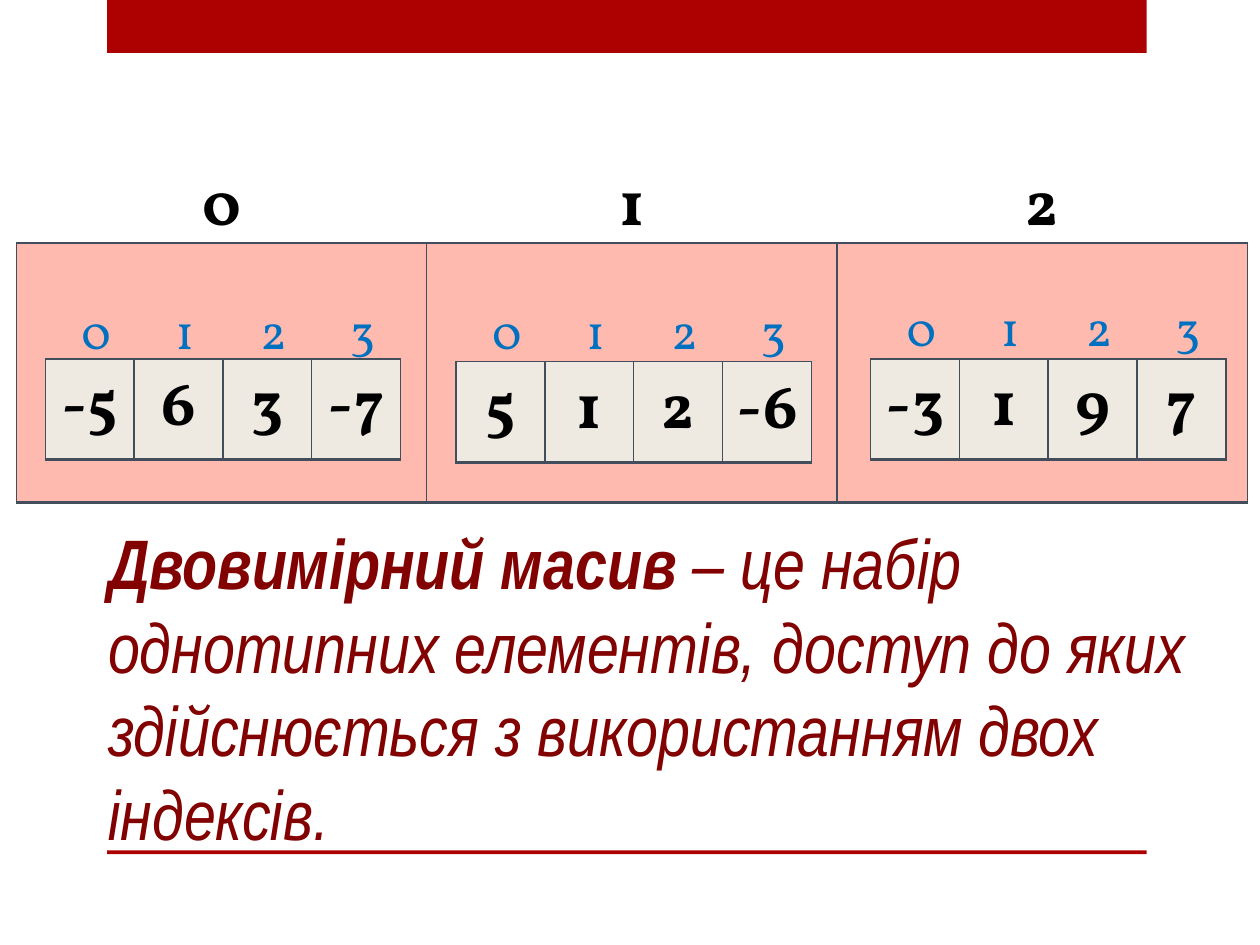
from lxml import etree
from pptx import Presentation
from pptx import util as u
from pptx.dml.color import RGBColor
from pptx.enum import shapes, text
from pptx.oxml.ns import qn

COLORS = {"red": "AD0101", "dark_red": "820101", "pink": "FFBAB0", "cream": "EEEAE2",
          "border": "424E5B", "black": "000000", "blue": "0070C0"}
ROWS = [["-5", "6", "3", "-7"], ["5", "1", "2", "-6"], ["-3", "1", "9", "7"]]
ROW_POSITIONS = [(0.36, 2.85, 2.35), (3.62, 2.87, 2.35), (6.91, 2.85, 2.33)]
ROW_WIDTH = 2.82


def color(name):
    """Return the named colour."""
    return RGBColor.from_string(COLORS[name])


def write(paragraph, content, size=36, font="Vollkorn", tint="black", bold=False,
          italic=False, align=text.PP_ALIGN.CENTER):
    """Add formatted text to a paragraph."""
    paragraph.alignment = align
    run = paragraph.add_run()
    run.text = content
    run.font.size, run.font.name = u.Pt(size), font
    run.font.bold, run.font.italic = bold, italic
    run.font.color.rgb = color(tint)


def set_borders(cell, visible):
    """Draw the four sides of a cell, the bottom one thicker, or hide them."""
    properties = cell._tc.get_or_add_tcPr()
    for side, width in {"L": 1, "R": 1, "T": 1, "B": 2}.items():
        line = etree.SubElement(properties, qn(f"a:ln{side}"), w=str(u.Pt(width)))
        if visible:
            fill = etree.SubElement(line, qn("a:solidFill"))
            etree.SubElement(fill, qn("a:srgbClr"), val=COLORS["border"])
        else:
            etree.SubElement(line, qn("a:noFill"))


def add_row(slide, box, values, fill=None, **text_format):
    """Add a one-row table of equal cells; only filled cells have borders."""
    left, top, width, height = map(u.Inches, box)
    table = slide.shapes.add_table(1, len(values), left, top, width, height).table
    table.first_row = table.horz_banding = False
    for cell, value in zip(table.iter_cells(), values):
        set_borders(cell, fill is not None)
        if fill:
            cell.fill.solid()
            cell.fill.fore_color.rgb = color(fill)
        else:
            cell.fill.background()
        if value:
            write(cell.text_frame.paragraphs[0], value, **text_format)


def add_bar(slide, box):
    """Add a plain red bar."""
    shape = slide.shapes.add_shape(shapes.MSO_SHAPE.RECTANGLE, *map(u.Inches, box))
    shape.shadow.inherit = False
    shape.fill.solid()
    shape.fill.fore_color.rgb = color("red")
    shape.line.fill.background()


def add_array(slide, box):
    """Add the outer array with its indexes and the three inner arrays."""
    left, top, width, height = box
    add_row(slide, box, [""] * len(ROWS), fill="pink")
    for values, (row_left, row_top, _) in zip(ROWS, ROW_POSITIONS):
        add_row(slide, (row_left, row_top, ROW_WIDTH, 0.7), values, fill="cream", bold=True)
    add_row(slide, (left, top - 0.67, width, 0.98), [str(i) for i in range(len(ROWS))], bold=True)
    for values, (row_left, _, index_top) in zip(ROWS, ROW_POSITIONS):
        add_row(slide, (row_left + 0.05, index_top, ROW_WIDTH, 0.57),
                [str(i) for i in range(len(values))], size=28, tint="blue")


def add_definition(slide, box):
    """Add the definition with its term in bold."""
    frame = slide.shapes.add_textbox(*map(u.Inches, box)).text_frame
    frame.word_wrap = True
    frame.auto_size = text.MSO_AUTO_SIZE.SHAPE_TO_FIT_TEXT
    style = {"size": 40, "font": "Arial Narrow", "tint": "dark_red", "italic": True,
             "align": text.PP_ALIGN.LEFT}
    paragraph = frame.paragraphs[0]
    write(paragraph, "Двовимірний масив ", bold=True, **style)
    write(paragraph, "– це набір однотипних елементів, доступ до яких здійснюється "
          "з використанням двох індексів.", **style)


def main():
    """Build and save the slide."""
    presentation = Presentation()
    presentation.slide_width, presentation.slide_height = u.Inches(10), u.Inches(7.5)
    slide = presentation.slides.add_slide(presentation.slide_layouts[6])
    add_bar(slide, (0.85, 0, 8.25, 0.42))
    add_bar(slide, (0.85, 6.75, 8.25, 0.03))
    add_array(slide, (0.13, 1.93, 9.77, 2.06))
    add_definition(slide, (0.76, 4.07, 8.97, 2.79))
    presentation.save("out.pptx")


if __name__ == "__main__":
    main()
